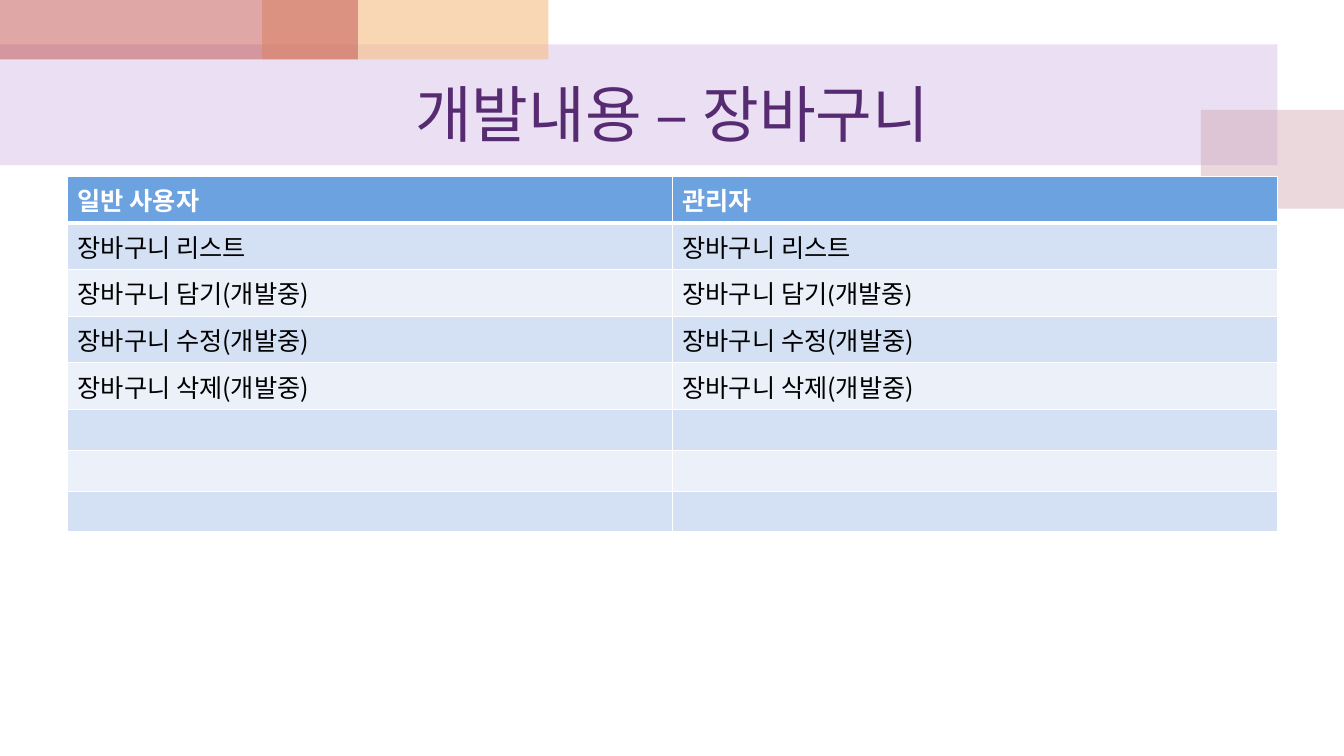
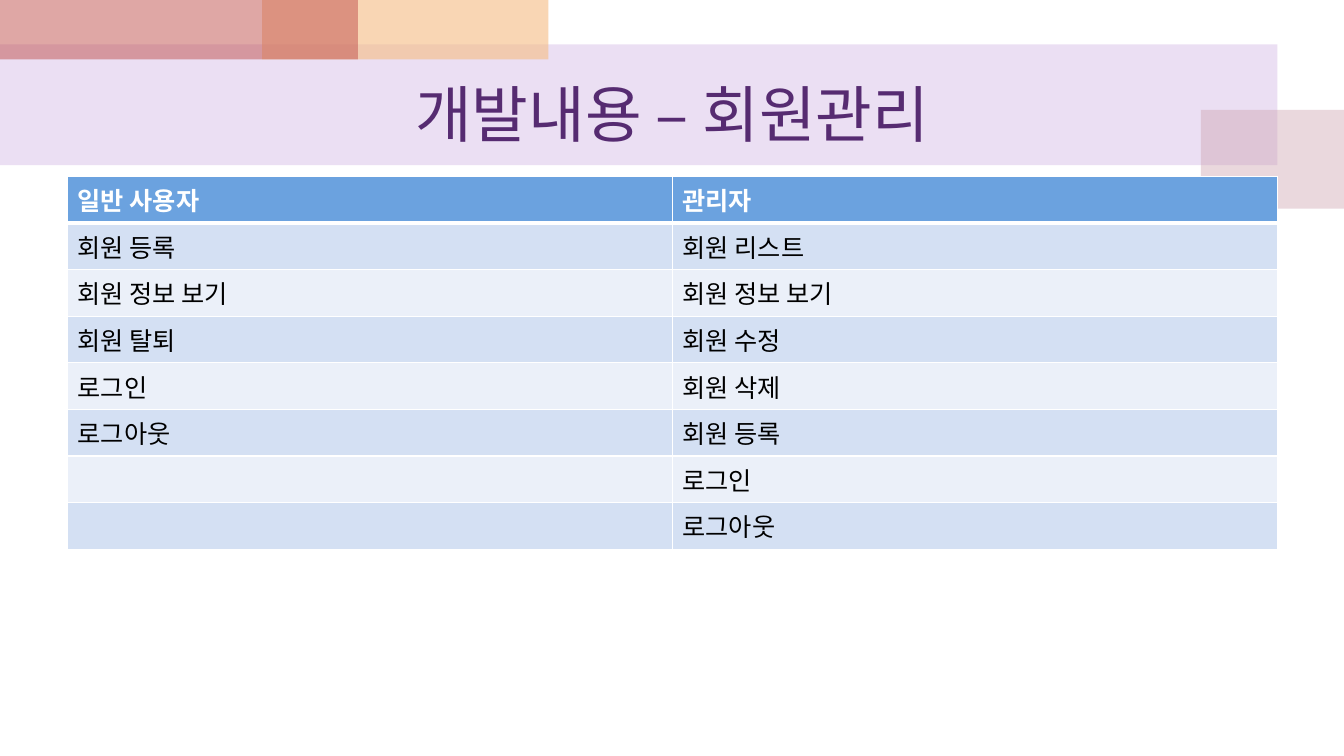
from lxml import etree
from pptx import Presentation
from pptx.dml.color import RGBColor
from pptx.enum import shapes, text
from pptx.oxml.ns import qn
from pptx.util import Inches, Pt

COLORS = {
    "title": "562B71",
    "header": "6BA2DF",
    "odd": "D4E0F3",
    "even": "EBF0F9",
    "white": "FFFFFF",
    "black": "000000",
}
LATIN_FONT = "Calibri"
NOTE_FONT = "Noto Sans CJK KR"
NOTE = "(개발중)"
TABLE_HEADER = ("일반 사용자", "관리자")

# left, top, width, height, colour, opacity in percent
BANDS = [
    (0, 0.44, 12.67, 1.2, "BF98D8", 30),
    (11.91, 1.09, 1.43, 0.98, "CC9EAC", 40),
    (2.6, 0, 2.84, 0.59, "F5BC83", 60),
    (0, 0, 3.55, 0.59, "C0504D", 50),
]

# A cell is a string, or a pair of a string and a note in the note font.
PAGES = [
    ("개발내용 – 장바구니", [
        ("장바구니 리스트", "장바구니 리스트"),
        (("장바구니 담기", NOTE), "장바구니 담기" + NOTE),
        (("장바구니 수정", NOTE), ("장바구니 수정", NOTE)),
        (("장바구니 삭제", NOTE), ("장바구니 삭제", NOTE)),
        ("", ""),
        ("", ""),
        ("", ""),
    ]),
    ("개발내용 – 회원관리", [
        ("회원 등록", "회원 리스트"),
        ("회원 정보 보기", "회원 정보 보기"),
        ("회원 탈퇴", "회원 수정"),
        ("로그인", "회원 삭제"),
        ("로그아웃", "회원 등록"),
        ("", "로그인"),
        ("", "로그아웃"),
    ]),
]


def rgb(name):
    return RGBColor.from_string(COLORS[name])


def add_band(page, left, top, width, height, color, opacity):
    band = page.shapes.add_shape(
        shapes.MSO_SHAPE.RECTANGLE,
        Inches(left), Inches(top), Inches(width), Inches(height))
    band.shadow.inherit = False
    band.line.fill.background()
    band.fill.solid()
    band.fill.fore_color.rgb = RGBColor.from_string(color)
    color_node = band.element.find(".//" + qn("a:srgbClr"))
    etree.SubElement(color_node, qn("a:alpha"), val=str(opacity * 1000))
    return band


def decorate_layout(layout, page):
    """Draw the bands on a page, then move them to the layout all pages share."""
    for holder in list(layout.placeholders):
        if holder.placeholder_format.type != shapes.PP_PLACEHOLDER.TITLE:
            layout.shapes.element.remove(holder.element)
    for band in [add_band(page, *values) for values in BANDS]:
        layout.shapes.element.append(band.element)


def set_title(page, wording):
    title = page.shapes.title
    title.left, title.top = Inches(0.67), Inches(0.59)
    title.width, title.height = Inches(12), Inches(1.05)
    frame = title.text_frame
    frame.text = wording
    frame.auto_size = text.MSO_AUTO_SIZE.NONE
    frame.vertical_anchor = text.MSO_ANCHOR.MIDDLE
    para = frame.paragraphs[0]
    para.alignment = text.PP_ALIGN.CENTER
    para.font.name = LATIN_FONT
    para.font.size = Pt(44)
    para.font.color.rgb = rgb("title")


def set_borders(cell, top, bottom):
    """Draw white cell borders; the side borders are one point wide."""
    properties = cell._tc.get_or_add_tcPr()
    sides = [("a:lnL", 1), ("a:lnR", 1), ("a:lnT", top), ("a:lnB", bottom)]
    for position, (tag, points) in enumerate(sides):
        line = etree.Element(qn(tag), w=str(Pt(points)))
        fill = etree.SubElement(line, qn("a:solidFill"))
        etree.SubElement(fill, qn("a:srgbClr"), val=COLORS["white"])
        properties.insert(position, line)


def fill_cell(cell, content, row):
    is_header = row == 0
    cell.fill.solid()
    cell.fill.fore_color.rgb = rgb(
        "header" if is_header else "odd" if row % 2 else "even")
    set_borders(cell, top=3 if row == 1 else 1, bottom=3 if is_header else 1)

    para = cell.text_frame.paragraphs[0]
    para.font.size = Pt(18)
    para.font.bold = is_header
    para.font.color.rgb = rgb("white" if is_header else "black")
    if isinstance(content, str):
        para.font.name = LATIN_FONT
        para.text = content
    else:
        for wording, font in zip(content, (LATIN_FONT, NOTE_FONT)):
            span = para.add_run()
            span.text = wording
            span.font.name = font


def add_feature_table(page, features):
    rows = [TABLE_HEADER, *features]
    table = page.shapes.add_table(
        len(rows), len(TABLE_HEADER),
        Inches(0.67), Inches(1.75), Inches(12), Inches(3.24)).table
    for row, contents in enumerate(rows):
        for column, content in enumerate(contents):
            fill_cell(table.cell(row, column), content, row)


def main():
    deck = Presentation()
    deck.slide_width, deck.slide_height = Inches(13.33), Inches(7.5)
    layout = deck.slide_layouts.get_by_name("Title Only")
    for title, features in PAGES:
        page = deck.slides.add_slide(layout)
        set_title(page, title)
        add_feature_table(page, features)
    decorate_layout(layout, deck.slides[0])
    deck.save("out.pptx")


if __name__ == "__main__":
    main()
